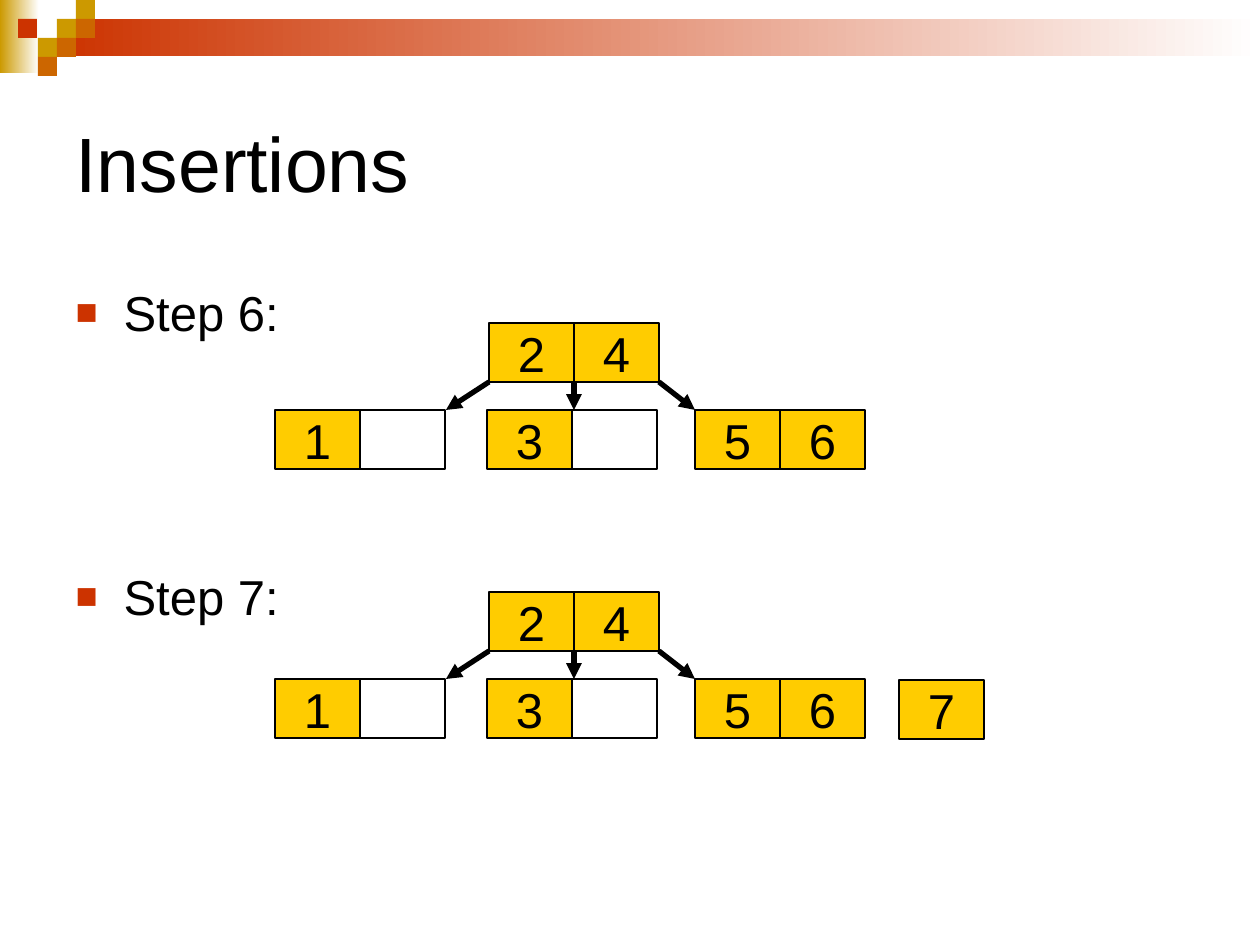
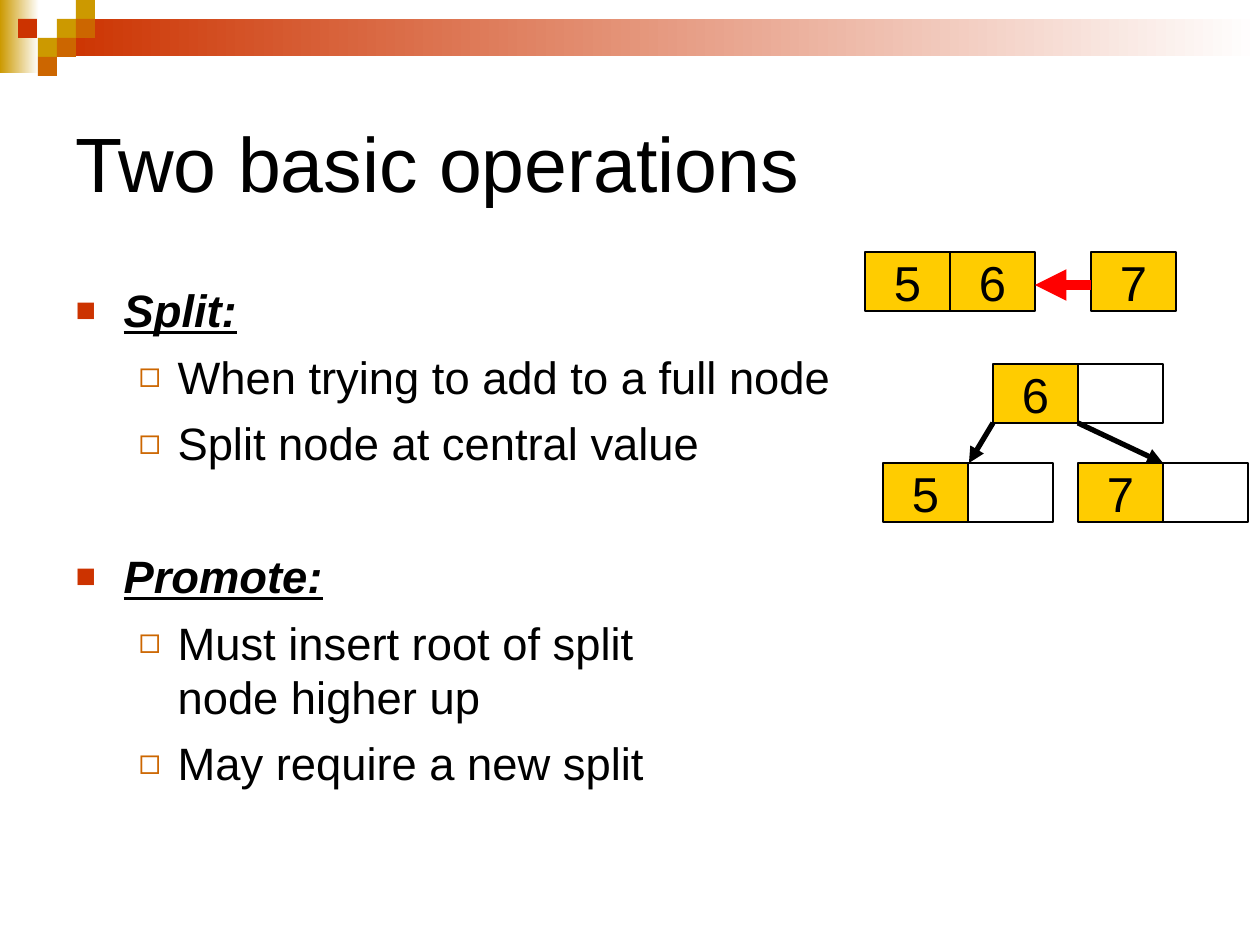
"""Build two slides on insertions and the basic operations of a 2-3 tree."""
from lxml.etree import SubElement
from pptx import Presentation
from pptx.dml.color import RGBColor
from pptx.enum.shapes import MSO_CONNECTOR, MSO_SHAPE
from pptx.enum.text import MSO_ANCHOR, MSO_AUTO_SIZE, PP_ALIGN
from pptx.oxml.ns import qn
from pptx.util import Pt

PX = 7257
CELL_WIDTH, CELL_HEIGHT = 85, 59
BLACK, WHITE, YELLOW, RED = "000000", "FFFFFF", "FFCC00", "FF0000"
GOLD, ORANGE, RUST = "CC9900", "CC6600", "CC3300"


def paint(fill, color, fade_to=None):
    if fade_to is None:
        fill.solid()
        fill.fore_color.rgb = RGBColor.from_string(color)
        return
    fill.gradient()
    fill.gradient_angle = 0
    for stop, stop_color in zip(fill.gradient_stops, (color, fade_to)):
        stop.color.rgb = RGBColor.from_string(stop_color)


def write(paragraph, text, size=28, align=PP_ALIGN.LEFT, emphasis=False, before=0, line=None):
    paragraph.text = text
    paragraph.alignment = align
    paragraph.space_before = Pt(before)
    if line:
        paragraph.line_spacing = Pt(line)
    for run in paragraph.runs:
        run.font.name = "Arial"
        run.font.size = Pt(size)
        run.font.bold = run.font.italic = run.font.underline = emphasis
        paint(run.font.fill, BLACK)


presentation = Presentation()
presentation.slide_width, presentation.slide_height = 1260 * PX, 945 * PX
layout = presentation.slide_layouts[1]

BULLETS = [
    {"margin": 48, "hanging": 48, "color": RUST, "percent": 75, "character": "■"},
    {"margin": 102, "hanging": 39, "color": ORANGE, "percent": 80, "character": "◻"},
]
contents = [
    ("Insertions", 28, 33.6, [(0, "Step 6:", 0), (0, "Step 7:", 129)]),
    ("Two basic operations", 25.9, 31, [
        (0, "Split:", 0),
        (1, "When trying to add to a full node", 7),
        (1, "Split node at central value", 7),
        (0, "Promote:", 45),
        (1, "Must insert root of split\vnode higher up", 7),
        (1, "May require a new split", 7),
    ]),
]

for title_text, size, line, items in contents:
    slide = presentation.slides.add_slide(layout)
    title, body = slide.placeholders
    title.left, title.top, title.width, title.height = 63 * PX, 67 * PX, 1134 * PX, 189 * PX
    title.text_frame.vertical_anchor = MSO_ANCHOR.MIDDLE
    write(title.text_frame.paragraphs[0], title_text, size=44)

    body.left, body.top, body.width, body.height = 63 * PX, 276 * PX, 1134 * PX, 536 * PX
    for placeholder in (title, body):
        placeholder.text_frame.auto_size = MSO_AUTO_SIZE.NONE
    for index, (level, text, before) in enumerate(items):
        frame = body.text_frame
        paragraph = frame.add_paragraph() if index else frame.paragraphs[0]
        paragraph.level = level
        bullet = BULLETS[level]
        properties = paragraph._p.get_or_add_pPr()
        properties.set("marL", str(bullet["margin"] * PX))
        properties.set("indent", str(-bullet["hanging"] * PX))
        bullet_color = SubElement(properties, qn("a:buClr"))
        SubElement(bullet_color, qn("a:srgbClr"), val=bullet["color"])
        SubElement(properties, qn("a:buSzPct"), val=str(bullet["percent"] * 1000))
        SubElement(properties, qn("a:buFont"), typeface="Arial")
        SubElement(properties, qn("a:buChar"), char=bullet["character"])
        emphasis = title_text == "Two basic operations" and level == 0
        write(paragraph, text, size=size, emphasis=emphasis, before=before, line=line)

insertions, operations = presentation.slides

bands = [(0, 0, 39, 73, GOLD, WHITE), (57, 19, 1203, 37, RUST, WHITE)]
squares = [(57, 19, GOLD), (76, 0, GOLD), (76, 19, ORANGE), (38, 38, GOLD),
           (18, 19, RUST), (57, 38, ORANGE), (38, 57, ORANGE)]
decorations = bands + [(left, top, 19, 19, color, None) for left, top, color in squares]
for index, (left, top, width, height, color, fade_to) in enumerate(decorations):
    shape = insertions.shapes.add_shape(
        MSO_SHAPE.RECTANGLE, left * PX, top * PX, width * PX, height * PX)
    shape.shadow.inherit = False
    shape.line.fill.background()
    paint(shape.fill, color, fade_to)
    layout.shapes.element.insert(2 + index, shape.element)

nodes = [
    (insertions, 899, 680, "7"),
    (operations, 1091, 252, "7"),
    (operations, 865, 252, "56"),
    (operations, 993, 364, "6 "),
    (operations, 883, 463, "5 "),
    (operations, 1078, 463, "7 "),
]
arrows = [
    (operations, 1091, 285, 1035, 285, RED, 6),
    (operations, 993, 423, 969, 463, BLACK, 3),
    (operations, 1078, 423, 1163, 463, BLACK, 3),
]
for root_top in (323, 592):
    root_bottom, child_top = root_top + CELL_HEIGHT, root_top + 87
    nodes.append((insertions, 489, root_top, "24"))
    for child_left, values in ((275, "1 "), (487, "3 "), (695, "56")):
        nodes.append((insertions, child_left, child_top, values))
    for start, end in ((489, 446), (574, 574), (659, 695)):
        arrows.append((insertions, start, root_bottom, end, child_top, BLACK, 3))

for slide, left, top, values in nodes:
    for column, value in enumerate(values):
        cell = slide.shapes.add_shape(
            MSO_SHAPE.RECTANGLE, (left + column * CELL_WIDTH) * PX, top * PX,
            CELL_WIDTH * PX, CELL_HEIGHT * PX)
        cell.shadow.inherit = False
        paint(cell.fill, WHITE if value == " " else YELLOW)
        paint(cell.line.fill, BLACK)
        cell.line.width = Pt(0.75)
        if value != " ":
            cell.text_frame.word_wrap = False
            cell.text_frame.vertical_anchor = MSO_ANCHOR.MIDDLE
            write(cell.text_frame.paragraphs[0], value, align=PP_ALIGN.CENTER)

for slide, start_x, start_y, end_x, end_y, color, weight in arrows:
    arrow = slide.shapes.add_connector(
        MSO_CONNECTOR.STRAIGHT, start_x * PX, start_y * PX, end_x * PX, end_y * PX)
    paint(arrow.line.fill, color)
    arrow.line.width = Pt(weight)
    SubElement(arrow.line._get_or_add_ln(), qn("a:tailEnd"), type="triangle")
    SubElement(arrow.element.spPr, qn("a:effectLst"))

presentation.save("out.pptx")
